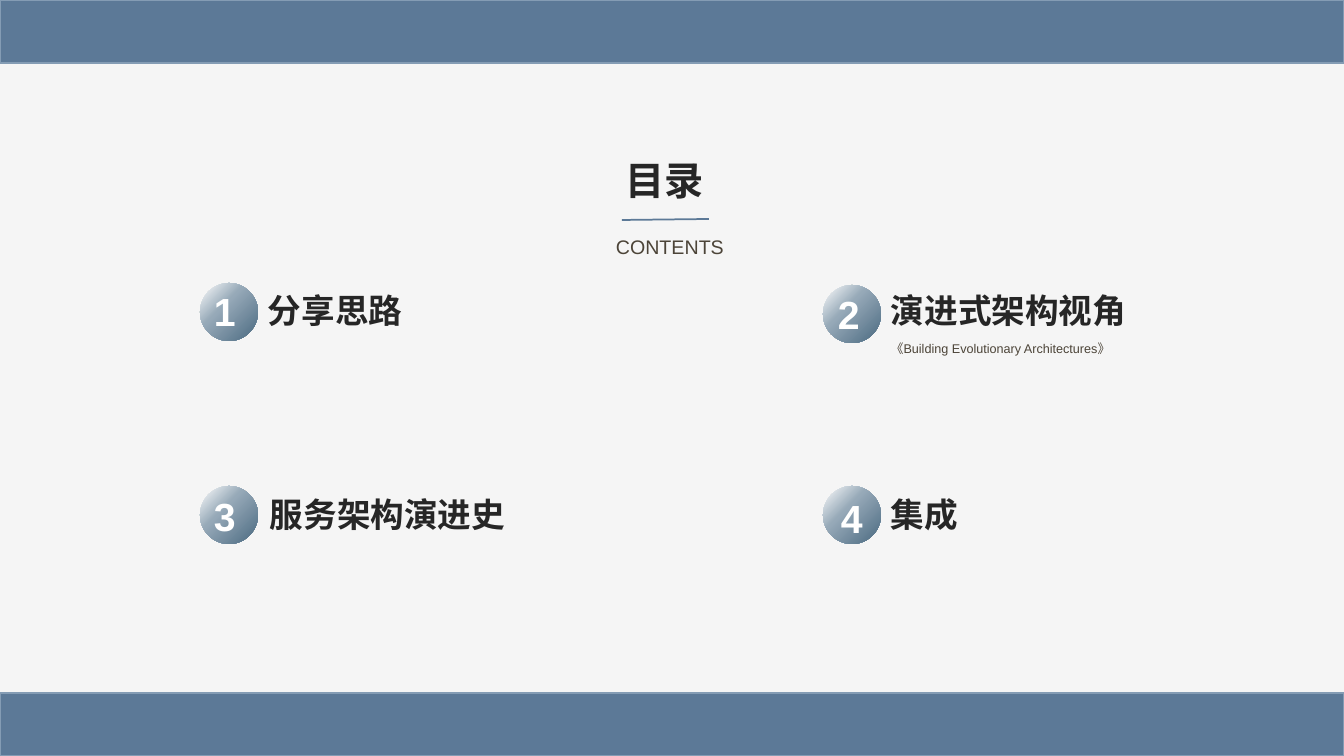
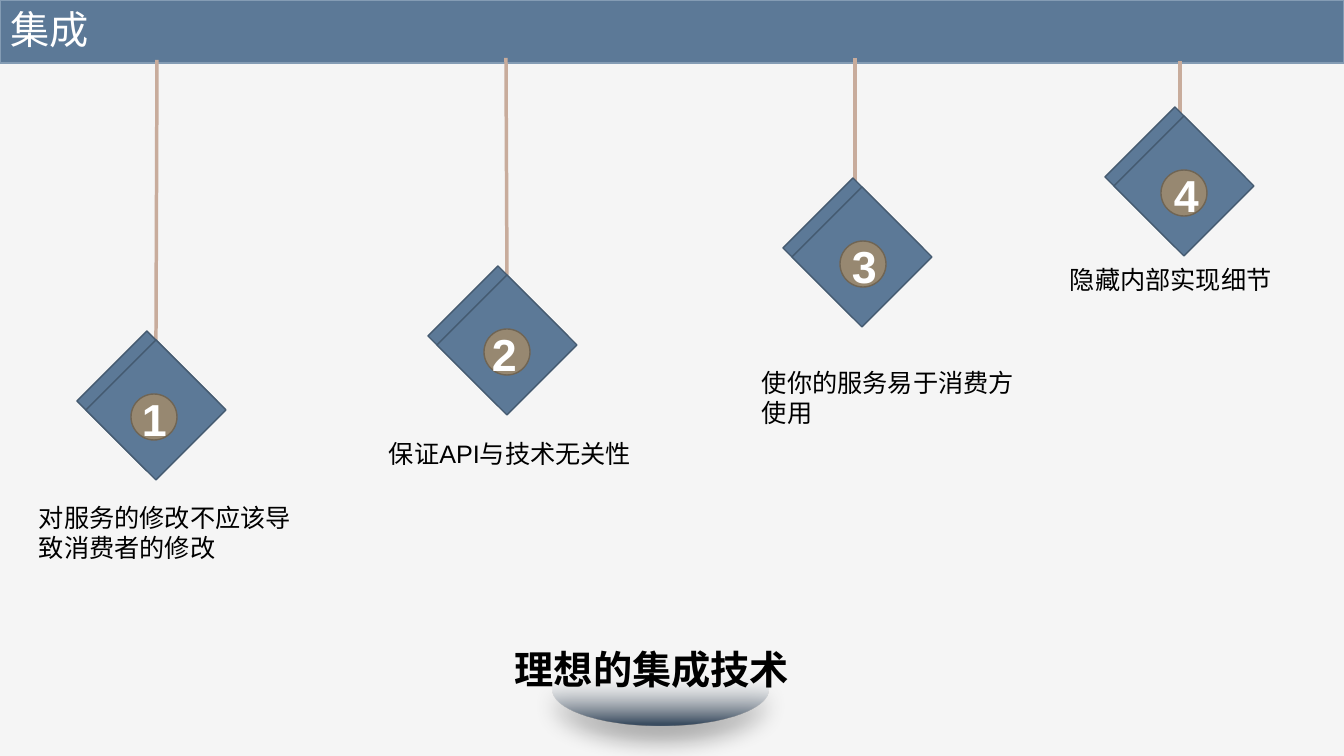
from lxml import etree
from pptx import Presentation
from pptx.dml.color import RGBColor
from pptx.enum.shapes import MSO_CONNECTOR, MSO_SHAPE
from pptx.enum.text import MSO_ANCHOR, MSO_AUTO_SIZE, PP_ALIGN
from pptx.oxml.ns import qn
from pptx.util import Emu, Pt

RECT, OVAL, DIAMOND = MSO_SHAPE.RECTANGLE, MSO_SHAPE.OVAL, MSO_SHAPE.DIAMOND
STRAIGHT = MSO_CONNECTOR.STRAIGHT
TOP, LEFT, NO_FIT = MSO_ANCHOR.TOP, PP_ALIGN.LEFT, MSO_AUTO_SIZE.NONE

PAPER = RGBColor(0xF5, 0xF5, 0xF5)
BLUE = RGBColor(0x5C, 0x79, 0x97)
BAND_EDGE = RGBColor(0x84, 0x9C, 0xB4)
CARD_EDGE = RGBColor(0x44, 0x5A, 0x70)
CORD = RGBColor(0xC8, 0xAC, 0x9C)
BADGE = RGBColor(0x97, 0x88, 0x71)
BADGE_EDGE = RGBColor(0x70, 0x65, 0x54)
INK = RGBColor(0x26, 0x26, 0x26)
BROWN = RGBColor(0x4C, 0x44, 0x38)
BLACK = RGBColor(0, 0, 0)
WHITE = RGBColor(0xFF, 0xFF, 0xFF)
MIST = RGBColor(0x96, 0xA9, 0xB8)
SLATE = RGBColor(0x4B, 0x6A, 0x81)
NAVY = RGBColor(0x3B, 0x4D, 0x61)

FONT = "Arial"
W, H, BAND_H = 1344, 756, 63


def px(n):
    return Emu(round(n * 12192000 / W))


def box(x, y, w, h):
    return px(x), px(y), px(w), px(h)


# Shared drawing helpers

def write(shape, text, size, color, bold=False):
    tf = shape.text_frame
    tf.word_wrap = True
    tf.auto_size = NO_FIT
    tf.vertical_anchor = TOP
    p = tf.paragraphs[0]
    p.text = text
    p.alignment = LEFT
    p.font.name, p.font.size, p.font.bold = FONT, Pt(size), bold
    p.font.color.rgb = color


def label(parent, area, text, size, color, bold=False):
    write(parent.shapes.add_textbox(*box(*area)), text, size, color, bold)


def solid(parent, kind, area, fill, edge):
    sp = parent.shapes.add_shape(kind, *box(*area))
    sp.shadow.inherit = False
    sp.fill.solid()
    sp.fill.fore_color.rgb = fill
    sp.line.color.rgb = edge
    sp.line.width = Pt(1)


def color_xml(parent, color, alpha):
    clr = etree.SubElement(parent, qn("a:srgbClr"), val=str(color))
    etree.SubElement(clr, qn("a:alpha"), val=str(alpha * 1000))


def gradient_oval(s, area, stops, angle):
    """Stops are (position %, colour, opacity %)."""
    sp = s.shapes.add_shape(OVAL, *box(*area))
    sp.shadow.inherit = False
    sp.line.fill.background()
    sp.fill.gradient()
    sp.fill.gradient_angle = 360 - angle
    gs_list = sp.element.spPr.find(".//" + qn("a:gsLst"))
    for gs in list(gs_list):
        gs_list.remove(gs)
    for pos, color, alpha in stops:
        gs = etree.SubElement(gs_list, qn("a:gs"), pos=str(pos * 1000))
        color_xml(gs, color, alpha)
    return sp


def line(s, start, end, color, width):
    c = s.shapes.add_connector(STRAIGHT, *map(px, start + end))
    c.line.color.rgb = color
    c.line.width = Pt(width)
    etree.SubElement(c.element.spPr, qn("a:effectLst"))


def band(s, y):
    solid(s, RECT, (0, y, W, BAND_H), BLUE, BAND_EDGE)


def title(s, area, text, color, bold=False):
    t = s.shapes.title
    t.left, t.top, t.width, t.height = box(*area)
    write(t, text, 28, color, bold)
    t.element.getparent().append(t.element)  # in front of the band


def new_slide(prs):
    s = prs.slides.add_slide(prs.slide_layouts[5])
    band(s, 0)
    return s


# Contents slide

def contents_entry(s, x, y, number, digit_at, heading, heading_at):
    gradient_oval(s, (x, y, 58, 58),
                  [(0, WHITE, 100), (40, MIST, 100), (100, SLATE, 100)], 45)
    label(s, (x + digit_at[0], y + digit_at[1], 50, 57), number, 28, WHITE, True)
    label(s, (x + heading_at[0], y + heading_at[1], 264, 50),
          heading, 24, INK, True)


def contents_slide(prs):
    s = new_slide(prs)
    band(s, H - BAND_H)
    title(s, (615, 151, 115, 57), "目录", INK, True)
    line(s, (709, 219), (622, 220), BLUE, 1.25)
    label(s, (606, 230, 132, 34), "CONTENTS", 14, BROWN)
    for entry in (
        (200, 283, "1", (4, -1), "分享思路", (58, 2)),
        (823, 285, "2", (5, 0), "演进式架构视角", (58, 0)),
        (200, 486, "3", (4, 1), "服务架构演进史", (60, 3)),
        (823, 486, "4", (8, 3), "集成", (58, 3)),
    ):
        contents_entry(s, *entry)
    label(s, (881, 336, 241, 25), "《Building Evolutionary Architectures》", 9, BROWN)


# Integration slide

def hanging_card(s, x, y, number, badge_dx, digit_dx, cord):
    line(s, *cord, CORD, 2.5)
    card = s.shapes.add_group_shape()
    for shift in (0, 9):
        solid(card, DIAMOND, (x + shift, y + shift, 140, 140), BLUE, CARD_EDGE)
    solid(card, OVAL, (x + badge_dx, y + 63, 46, 46), BADGE, BADGE_EDGE)
    label(card, (x + digit_dx, y + 56, 50, 64), number, 32, WHITE, True)


def glowing_base(s, area):
    sp = gradient_oval(s, area, [(27, WHITE, 0), (97, NAVY, 100)], 90)
    effects = sp.element.spPr.find(qn("a:effectLst"))
    shadow = etree.SubElement(effects, qn("a:outerShdw"), blurRad=str(Pt(16)),
                              dist=str(Pt(10)), dir="5400000", rotWithShape="0")
    color_xml(shadow, BLACK, 40)


def integration_slide(prs):
    s = new_slide(prs)
    title(s, (0, 0, 192, 57), "集成", WHITE)
    glowing_base(s, (553, 654, 215, 72))
    label(s, (505, 640, 362, 57), "理想的集成技术", 28, BLACK, True)
    for card in (
        (77, 331, "1", 54, 55, ((156, 340), (157, 60))),
        (428, 266, "2", 56, 54, ((507, 275), (506, 58))),
        (783, 178, "3", 57, 59, ((855, 192), (855, 58))),
        (1105, 107, "4", 56, 59, ((1180, 194), (1180, 61))),
    ):
        hanging_card(s, *card)
    for area, caption in (
        ((29, 497, 275, 72), "对服务的修改不应该导致消费者的修改"),
        ((379, 433, 293, 40), "保证API与技术无关性"),
        ((752, 362, 284, 72), "使你的服务易于消费方使用"),
        ((1060, 259, 284, 40), "隐藏内部实现细节"),
    ):
        label(s, area, caption, 18, BLACK)


def main():
    prs = Presentation()
    prs.slide_width, prs.slide_height = px(W), px(H)
    fill = prs.slide_master.background.fill
    fill.solid()
    fill.fore_color.rgb = PAPER
    contents_slide(prs)
    integration_slide(prs)
    prs.save("out.pptx")


if __name__ == "__main__":
    main()
